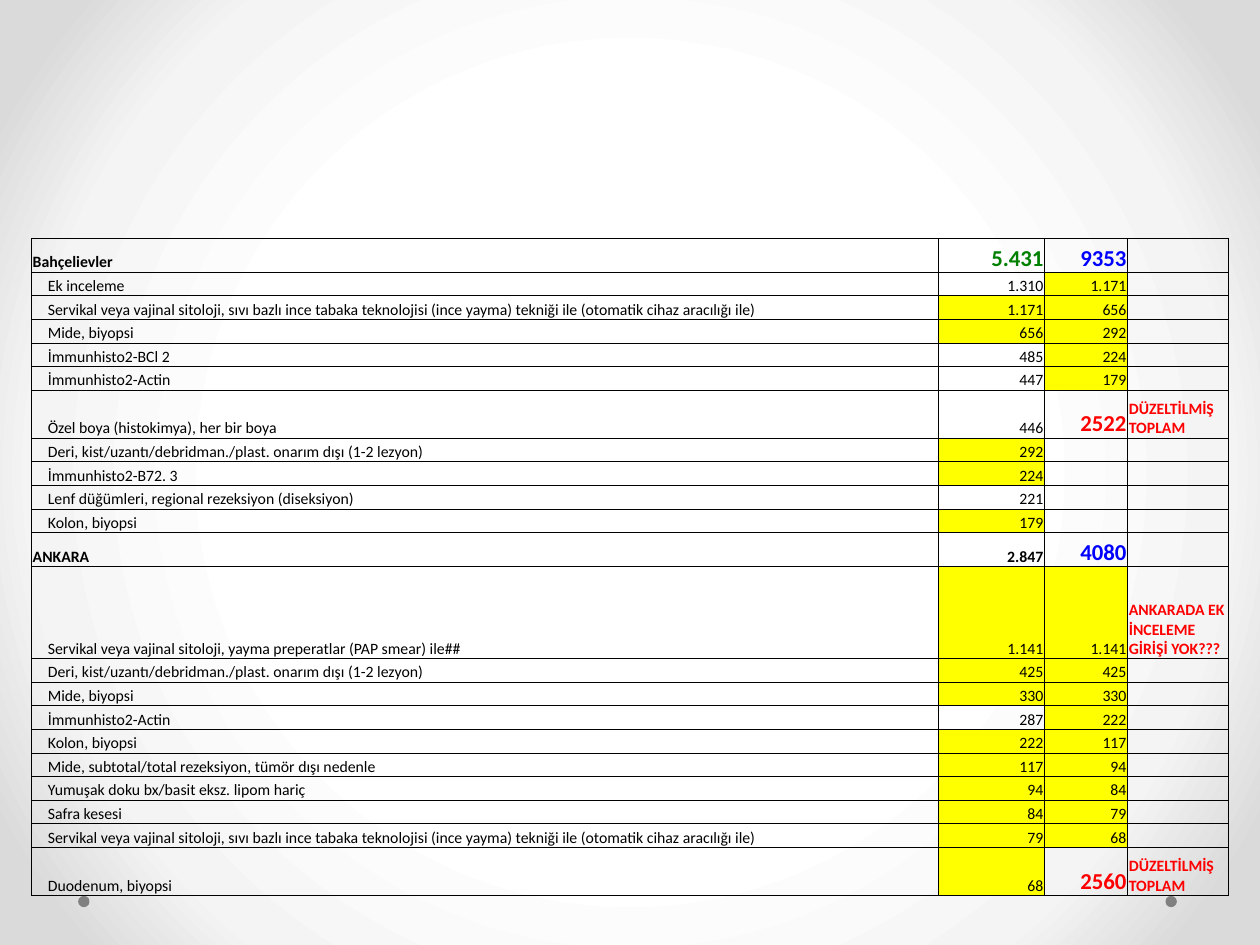
import pptx
import pptx.dml.color
import pptx.enum.shapes
import pptx.enum.text
import pptx.oxml
import pptx.oxml.ns
import pptx.util
from lxml import etree

Inches, Pt = pptx.util.Inches, pptx.util.Pt
RGB = pptx.dml.color.RGBColor.from_string
NS = pptx.oxml.ns.nsdecls("a", "p")

COLORS = {
    "text": "000000", "match": "FFFF00", "corrected": "FF0000",
    "total": "0000FF", "main_total": "008000", "dot": "808080",
}
GLOW = [(50, "FFFFFF"), (76, "F4F4F4"), (92, "DADADA")]

CYTOLOGY = ("Servikal veya vajinal sitoloji, sıvı bazlı ince tabaka teknolojisi "
            "(ince yayma) tekniği ile (otomatik cihaz aracılığı ile)")
SKIN = "Deri, kist/uzantı/debridman./plast. onarım dışı (1-2 lezyon)"
CORRECTED = "DÜZELTİLMİŞ TOPLAM"

# Each group: heading row, then rows of (label, count, matched count, note)
GROUPS = [
    [
        ("Bahçelievler", "5.431", "9353", ""),
        ("Ek inceleme", "1.310", "1.171", ""),
        (CYTOLOGY, "1.171", "656", ""),
        ("Mide, biyopsi", "656", "292", ""),
        ("İmmunhisto2-BCl 2", "485", "224", ""),
        ("İmmunhisto2-Actin", "447", "179", ""),
        ("Özel boya (histokimya), her bir boya", "446", "2522", CORRECTED),
        (SKIN, "292", "", ""),
        ("İmmunhisto2-B72. 3", "224", "", ""),
        ("Lenf düğümleri, regional rezeksiyon (diseksiyon)", "221", "", ""),
        ("Kolon, biyopsi", "179", "", ""),
    ],
    [
        ("ANKARA", "2.847", "4080", ""),
        ("Servikal veya vajinal sitoloji, yayma preperatlar (PAP smear) ile##",
         "1.141", "1.141", "ANKARADA EK İNCELEME GİRİŞİ YOK???"),
        (SKIN, "425", "425", ""),
        ("Mide, biyopsi", "330", "330", ""),
        ("İmmunhisto2-Actin", "287", "222", ""),
        ("Kolon, biyopsi", "222", "117", ""),
        ("Mide, subtotal/total rezeksiyon, tümör dışı nedenle", "117", "94", ""),
        ("Yumuşak doku bx/basit eksz. lipom hariç", "94", "84", ""),
        ("Safra kesesi", "84", "79", ""),
        (CYTOLOGY, "79", "68", ""),
        ("Duodenum, biyopsi", "68", "2560", CORRECTED),
    ],
]
HEADINGS = [group[0] for group in GROUPS]
EMPHASIS = {"5.431": "main_total", "9353": "total", "4080": "total",
            "2522": "corrected", "2560": "corrected"}
COLUMN_WIDTHS = [7.2, 0.84, 0.66, 0.8]


def paint_background(slide):
    stops = "".join(f'<a:gs pos="{pos * 1000}"><a:srgbClr val="{color}"/></a:gs>'
                    for pos, color in GLOW)
    background = pptx.oxml.parse_xml(
        f'<p:bg {NS}><p:bgPr><a:gradFill rotWithShape="1"><a:gsLst>{stops}</a:gsLst>'
        '<a:path path="circle"><a:fillToRect l="50000" t="50000" r="50000" b="50000"/>'
        '</a:path></a:gradFill><a:effectLst/></p:bgPr></p:bg>')
    slide.shapes._spTree.getparent().insert(0, background)


def add_dots(slide, left, top, width, size):
    for x in (left, left + width - size):
        dot = slide.shapes.add_shape(pptx.enum.shapes.MSO_SHAPE.OVAL,
                                     Inches(x), Inches(top), Inches(size), Inches(size))
        dot.shadow.inherit = False
        dot.fill.solid()
        dot.fill.fore_color.rgb = RGB(COLORS["dot"])
        dot.line.fill.background()


def add_borders(cell):
    properties = cell._tc.get_or_add_tcPr()
    for side in ("lnL", "lnR", "lnT", "lnB"):
        properties.append(pptx.oxml.parse_xml(
            f'<a:{side} {NS} w="6350"><a:solidFill><a:srgbClr val="{COLORS["text"]}"/>'
            f'</a:solidFill></a:{side}>'))


def fill_cell(cell, text, column, is_heading, is_match):
    cell.margin_left = Inches(0.13 if column == 0 and not is_heading else 0.01)
    cell.margin_top = cell.margin_right = Inches(0.01)
    cell.margin_bottom = 0
    cell.vertical_anchor = pptx.enum.text.MSO_ANCHOR.BOTTOM
    add_borders(cell)
    if is_match:
        cell.fill.solid()
        cell.fill.fore_color.rgb = RGB(COLORS["match"])
    else:
        cell.fill.background()

    paragraph = cell.text_frame.paragraphs[0]
    if column in (1, 2):
        paragraph.alignment = pptx.enum.text.PP_ALIGN.RIGHT
    if not text:
        # Keep empty cells from stretching their row
        end = etree.SubElement(paragraph._p, pptx.oxml.ns.qn("a:endParaRPr"))
        end.set("sz", "900")
        return
    paragraph.text = text
    font = paragraph.runs[0].font
    emphasis = EMPHASIS.get(text, "corrected" if column == 3 else "text")
    font.name = "Calibri"
    font.size = Pt(13 if text in EMPHASIS else 9)
    font.bold = is_heading or emphasis != "text"
    font.color.rgb = RGB(COLORS[emphasis])


def row_height(row):
    """Height of a heading or annotated row; None for a standard one."""
    if row in HEADINGS:
        return 0.27
    if row[3]:
        return 0.38 if row[3] == CORRECTED else 0.73
    return None


def add_counts_table(slide, left, top, width, height):
    rows = [(row, group) for group in GROUPS for row in group]
    table = slide.shapes.add_table(len(rows), len(COLUMN_WIDTHS), Inches(left), Inches(top),
                                   Inches(width), Inches(height)).table
    table.first_row = table.horz_banding = False
    for column, column_width in zip(table.columns, COLUMN_WIDTHS):
        column.width = Inches(column_width)

    # Standard rows share what the taller rows leave
    heights = [row_height(row) for row, _ in rows]
    standard = (height - sum(h or 0 for h in heights)) / heights.count(None)
    for r, (row, group) in enumerate(rows):
        table.rows[r].height = Inches(heights[r] or standard)
        # Counts found in both columns of a group are highlighted
        matches = {item[1] for item in group} & {item[2] for item in group} - {""}
        for c, text in enumerate(row):
            fill_cell(table.cell(r, c), text, c, row in HEADINGS, text in matches)


def main():
    presentation = pptx.Presentation()
    presentation.slide_width, presentation.slide_height = Inches(10), Inches(7.5)
    slide = presentation.slides.add_slide(presentation.slide_layouts[6])
    paint_background(slide)
    add_dots(slide, 0.62, 7.11, 8.72, 0.09)
    add_counts_table(slide, 0.25, 1.89, 9.5, 5.22)
    presentation.save("out.pptx")


if __name__ == "__main__":
    main()
